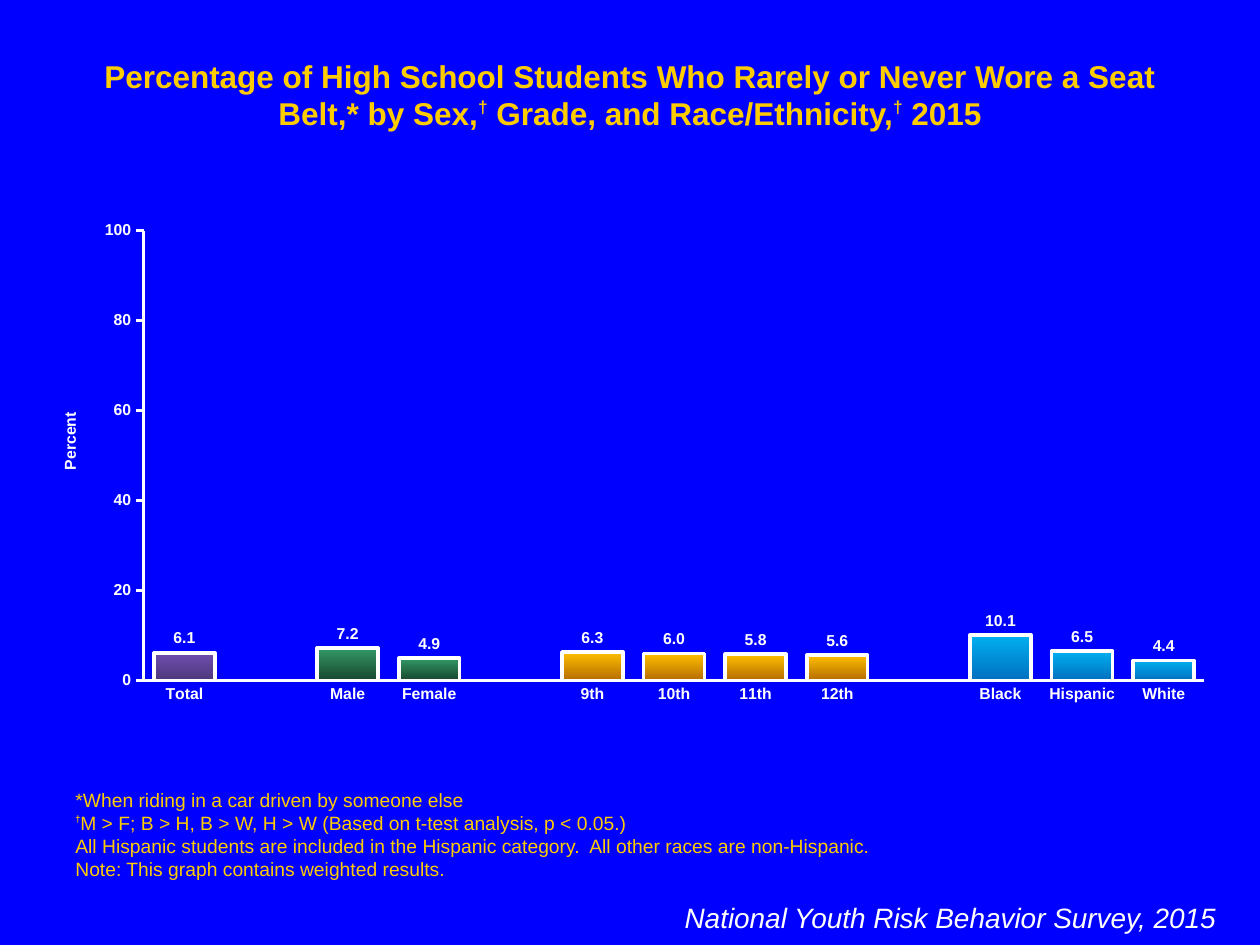
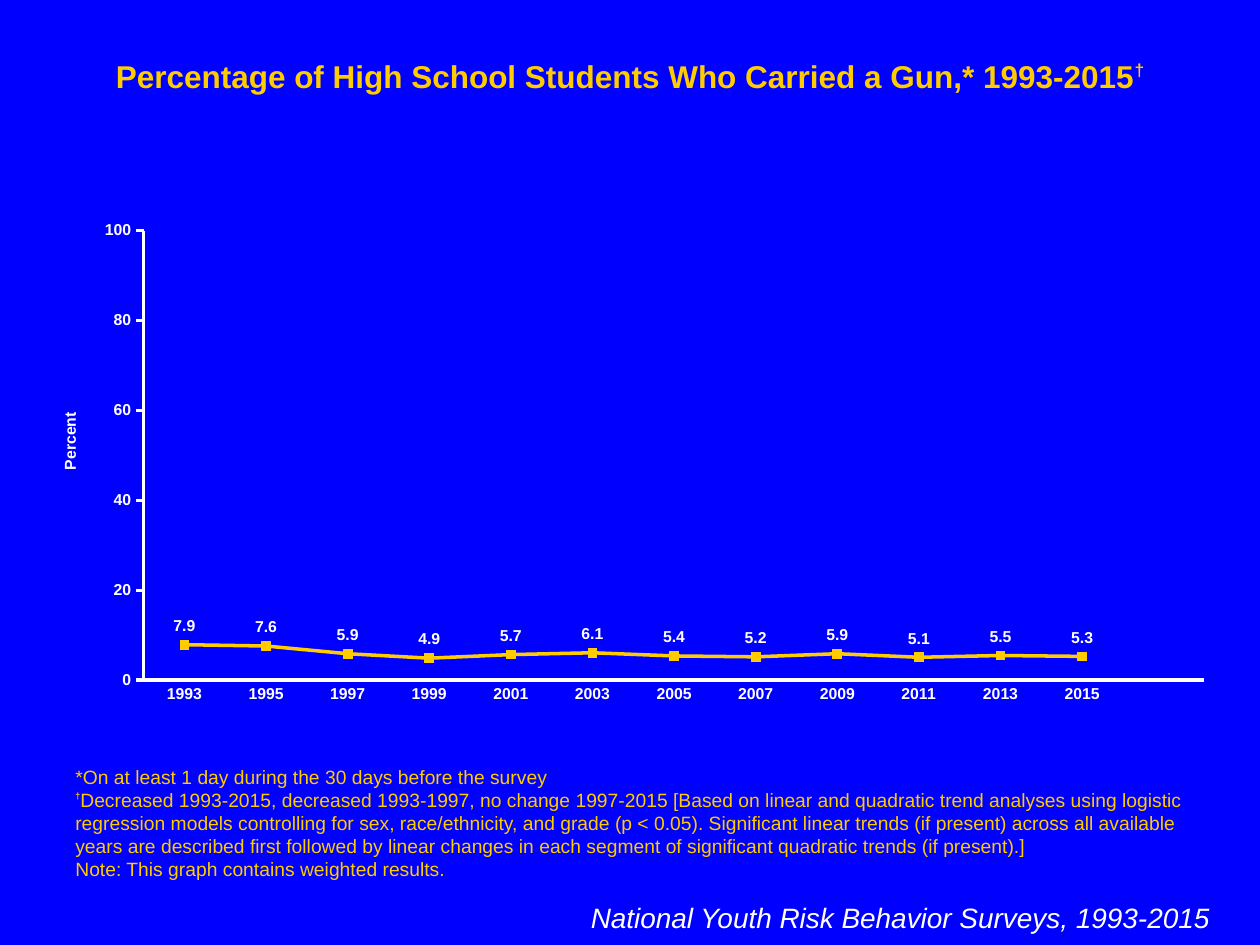
"""Build two survey slides: seat belt use by group and gun carrying by year."""

from dataclasses import dataclass
from typing import Optional

import pptx
import pptx.chart.data
import pptx.dml.color
import pptx.enum.chart
import pptx.enum.text
import pptx.oxml
import pptx.oxml.ns
import pptx.util

Inches = pptx.util.Inches
Pt = pptx.util.Pt
Align = pptx.enum.text.PP_ALIGN
Anchor = pptx.enum.text.MSO_ANCHOR
ChartType = pptx.enum.chart.XL_CHART_TYPE
LabelPosition = pptx.enum.chart.XL_LABEL_POSITION

FONT = "Arial"
BLUE, GOLD, WHITE = "0000FF", "FFCC00", "FFFFFF"
DAGGER = "†"
CHART_LEFT, CHART_WIDTH, CHART_BOTTOM = 0.25, 9.5, 5.67
PLOT_LEFT, PLOT_TOP, PLOT_RIGHT, PLOT_BOTTOM = 1.14, 1.83, 9.56, 5.4
PERCENT_LEFT, PERCENT_TOP = 0.45, 3.25


@dataclass(frozen=True)
class TextStyle:
    """Place and type of one recurring text."""

    top: float
    height: float
    size: float
    color: str
    align: Align = Align.LEFT
    anchor: Anchor = Anchor.TOP
    bold: bool = False
    italic: bool = False
    dagger_size: float = 0
    dagger_raise: int = 0
    dagger_bold: bool = False


@dataclass(frozen=True)
class StudentGroup:
    """Neighbouring bars that share one gradient."""

    percents: dict[str, float]
    top_color: str
    bottom_color: str


@dataclass(frozen=True)
class SurveyPage:
    """Wording and chart place of one slide."""

    title: str
    footnotes: list[str]
    survey: str
    survey_left: float
    chart_top: float


TITLE = TextStyle(0.4, 0.4, 18, GOLD, Align.CENTER, bold=True,
                  dagger_size=17, dagger_raise=40, dagger_bold=True)
FOOTNOTE = TextStyle(6.75, 0.29, 11, GOLD, anchor=Anchor.BOTTOM,
                     dagger_size=9, dagger_raise=50, dagger_bold=True)
SURVEY = TextStyle(7.1, 0.37, 16, WHITE, Align.RIGHT, italic=True)

WEIGHTED_NOTE = "Note: This graph contains weighted results."

SEAT_BELT = SurveyPage(
    "Percentage of High School Students Who Rarely or Never Wore a Seat Belt,* "
    "by Sex,† Grade, and Race/Ethnicity,† 2015",
    [
        "*When riding in a car driven by someone else",
        "†M > F; B > H, B > W, H > W (Based on t-test analysis, p < 0.05.)",
        "All Hispanic students are included in the Hispanic category.  "
        "All other races are non-Hispanic.",
        WEIGHTED_NOTE,
    ],
    "National Youth Risk Behavior Survey, 2015",
    4.25,
    1.69,
)
SEAT_BELT_GROUPS = [
    StudentGroup({"Total": 6.1}, "6E4EAE", "4F387C"),
    StudentGroup({"Male": 7.2, "Female": 4.9}, "339966", "18472F"),
    StudentGroup({"9th": 6.3, "10th": 6.0, "11th": 5.8, "12th": 5.6}, "FFC000", "B66D00"),
    StudentGroup({"Black": 10.1, "Hispanic": 6.5, "White": 4.4}, "00B0F0", "0070C0"),
]

GUN = SurveyPage(
    "Percentage of High School Students Who Carried a Gun,* 1993-2015†",
    [
        "*On at least 1 day during the 30 days before the survey",
        "†Decreased 1993-2015, decreased 1993-1997, no change 1997-2015 [Based on linear "
        "and quadratic trend analyses using logistic regression models controlling for sex, "
        "race/ethnicity, and grade (p < 0.05). Significant linear trends (if present) across "
        "all available years are described first followed by linear changes in each segment "
        "of significant quadratic trends (if present).]",
        WEIGHTED_NOTE,
    ],
    "National Youth Risk Behavior Surveys, 1993-2015",
    4.2,
    1.67,
)
GUN_PERCENTS = [7.9, 7.6, 5.9, 4.9, 5.7, 6.1, 5.4, 5.2, 5.9, 5.1, 5.5, 5.3]


def rgb(color: str) -> pptx.dml.color.RGBColor:
    """Turn a hex string into a colour."""
    return pptx.dml.color.RGBColor.from_string(color)


def style_font(font, size: float, color: str, bold: bool = False, italic: bool = False) -> None:
    """Set the shared typeface with the given look."""
    font.name = FONT
    font.size = Pt(size)
    font.bold = bold
    font.italic = italic
    font.color.rgb = rgb(color)


def style_line(line, color: str) -> None:
    """Give a line its colour and the shared width."""
    line.color.rgb = rgb(color)
    line.width = Pt(2)


def add_text(slide, lines: list[str], style: TextStyle, left: float, width: float) -> None:
    """Write lines in a style, raising every dagger."""
    box = slide.shapes.add_textbox(
        Inches(left), Inches(style.top), Inches(width), Inches(style.height))
    frame = box.text_frame
    frame.word_wrap = True
    frame.auto_size = pptx.enum.text.MSO_AUTO_SIZE.SHAPE_TO_FIT_TEXT
    frame.vertical_anchor = style.anchor
    for index, line in enumerate(lines):
        paragraph = frame.add_paragraph() if index else frame.paragraphs[0]
        paragraph.alignment = style.align
        for part in line.replace(DAGGER, f"\n{DAGGER}\n").split("\n"):
            if not part:
                continue
            run = paragraph.add_run()
            run.text = part
            if part == DAGGER:
                style_font(run.font, style.dagger_size, style.color, style.dagger_bold)
                run._r.get_or_add_rPr().set("baseline", str(style.dagger_raise * 1000))
            else:
                style_font(run.font, style.size, style.color, style.bold, style.italic)


def set_layout(parent, fractions: dict[str, float], inner: bool = False) -> None:
    """Fix the place of a chart part as fractions of the chart."""
    qn = pptx.oxml.ns.qn
    layout = parent.find(qn("c:layout"))
    if layout is None:
        layout = parent.makeelement(qn("c:layout"), {})
        parent.insert(0, layout)
    manual = layout.makeelement(qn("c:manualLayout"), {})
    layout.append(manual)
    settings = {"layoutTarget": "inner"} if inner else {}
    settings |= {"xMode": "edge", "yMode": "edge"}
    settings |= {key: f"{value:.4f}" for key, value in fractions.items()}
    for tag, value in settings.items():
        manual.append(manual.makeelement(qn(f"c:{tag}"), {"val": value}))


def add_percent_chart(slide, chart_type: ChartType, top: float, categories: list[str],
                      percents: list[Optional[float]], label_position: LabelPosition):
    """Add a one-series chart on the shared 0 to 100 percent scale."""
    height = CHART_BOTTOM - top
    chart_data = pptx.chart.data.CategoryChartData(number_format="#,##0.0")
    chart_data.categories = categories
    chart_data.add_series("Series 1", percents)
    chart = slide.shapes.add_chart(
        chart_type, Inches(CHART_LEFT), Inches(top), Inches(CHART_WIDTH), Inches(height),
        chart_data).chart
    chart.has_legend = False
    chart.has_title = False
    style_font(chart.font, 18, WHITE)

    percent_axis, category_axis = chart.value_axis, chart.category_axis
    for axis in (percent_axis, category_axis):
        axis.has_major_gridlines = False
        axis.minor_tick_mark = pptx.enum.chart.XL_TICK_MARK.NONE
        style_font(axis.tick_labels.font, 9, WHITE, bold=True)
        style_line(axis.format.line, WHITE)
    category_axis.major_tick_mark = pptx.enum.chart.XL_TICK_MARK.NONE
    percent_axis.major_tick_mark = pptx.enum.chart.XL_TICK_MARK.OUTSIDE
    percent_axis.minimum_scale = 0
    percent_axis.maximum_scale = 100
    percent_axis.major_unit = 20
    percent_axis.tick_labels.number_format = "#,##0"
    percent_axis.tick_labels.number_format_is_linked = False

    percent_name = percent_axis.axis_title.text_frame
    percent_name.text = "Percent"
    style_font(percent_name.paragraphs[0].runs[0].font, 9, WHITE, bold=True)
    title_xml = chart._chartSpace.xpath("//c:valAx/c:title")[0]
    rotation = title_xml.xpath(".//a:bodyPr")[0]
    rotation.set("rot", "-5400000")
    rotation.set("vert", "horz")
    set_layout(title_xml, {"x": (PERCENT_LEFT - CHART_LEFT) / CHART_WIDTH,
                           "y": (PERCENT_TOP - top) / height})
    set_layout(chart._chartSpace.xpath("c:chart/c:plotArea")[0],
               {"x": (PLOT_LEFT - CHART_LEFT) / CHART_WIDTH,
                "y": (PLOT_TOP - top) / height,
                "w": (PLOT_RIGHT - PLOT_LEFT) / CHART_WIDTH,
                "h": (PLOT_BOTTOM - PLOT_TOP) / height}, inner=True)

    plot = chart.plots[0]
    plot.vary_by_categories = False
    labels = plot.series[0].data_labels
    labels.show_value = True
    labels.number_format = "#,##0.0"
    labels.number_format_is_linked = False
    labels.position = label_position
    style_font(labels.font, 9, WHITE, bold=True)
    return plot


def draw_group_bars(slide, top: float, groups: list[StudentGroup]) -> None:
    """Draw the groups as gradient bars, one empty slot between groups."""
    slots = []
    for group in groups:
        if slots:
            slots.append(("", None, None))
        slots += [(name, percent, group) for name, percent in group.percents.items()]
    plot = add_percent_chart(
        slide, ChartType.COLUMN_CLUSTERED, top, [name for name, _, _ in slots],
        [percent for _, percent, _ in slots], LabelPosition.OUTSIDE_END)
    plot.gap_width = 34
    plot.overlap = 100
    bars = plot.series[0]
    bars.invert_if_negative = False
    for index, (_, _, group) in enumerate(slots):
        if group is None:
            continue
        bar = bars.points[index].format
        bar.fill.gradient()
        bar.fill.gradient_angle = 270
        stops = zip(bar.fill.gradient_stops, (group.top_color, group.bottom_color))
        for position, (stop, color) in enumerate(stops):
            stop.color.rgb = rgb(color)
            stop.position = position
        style_line(bar.line, WHITE)


def draw_year_trend(slide, top: float, percents: list[float]) -> None:
    """Draw the survey years as a marked line, with one empty slot at the end."""
    years = [str(1993 + 2 * index) for index in range(len(percents))]
    plot = add_percent_chart(
        slide, ChartType.LINE_MARKERS, top, years + [""], percents + [None],
        LabelPosition.ABOVE)
    trend = plot.series[0]
    trend.smooth = False
    style_line(trend.format.line, GOLD)
    trend.marker.style = pptx.enum.chart.XL_MARKER_STYLE.SQUARE
    trend.marker.size = 5
    trend.marker.format.fill.solid()
    trend.marker.format.fill.fore_color.rgb = rgb(GOLD)
    trend.marker.format.line.color.rgb = rgb(GOLD)


def add_page(deck, page: SurveyPage):
    """Add a blue slide with title, footnotes and survey name."""
    slide = deck.slides.add_slide(deck.slide_layouts[6])
    slide.background.fill.solid()
    slide.background.fill.fore_color.rgb = rgb(BLUE)
    add_text(slide, [page.title], TITLE, 0.5, 9)
    add_text(slide, page.footnotes, FOOTNOTE, 0.5, 9)
    add_text(slide, [page.survey], SURVEY, page.survey_left, 5.5)
    return slide


def main() -> None:
    """Build and save the deck."""
    deck = pptx.Presentation()
    deck.slide_width = Inches(10)
    deck.slide_height = Inches(7.5)
    draw_group_bars(add_page(deck, SEAT_BELT), SEAT_BELT.chart_top, SEAT_BELT_GROUPS)
    draw_year_trend(add_page(deck, GUN), GUN.chart_top, GUN_PERCENTS)
    deck.save("out.pptx")


if __name__ == "__main__":
    main()
